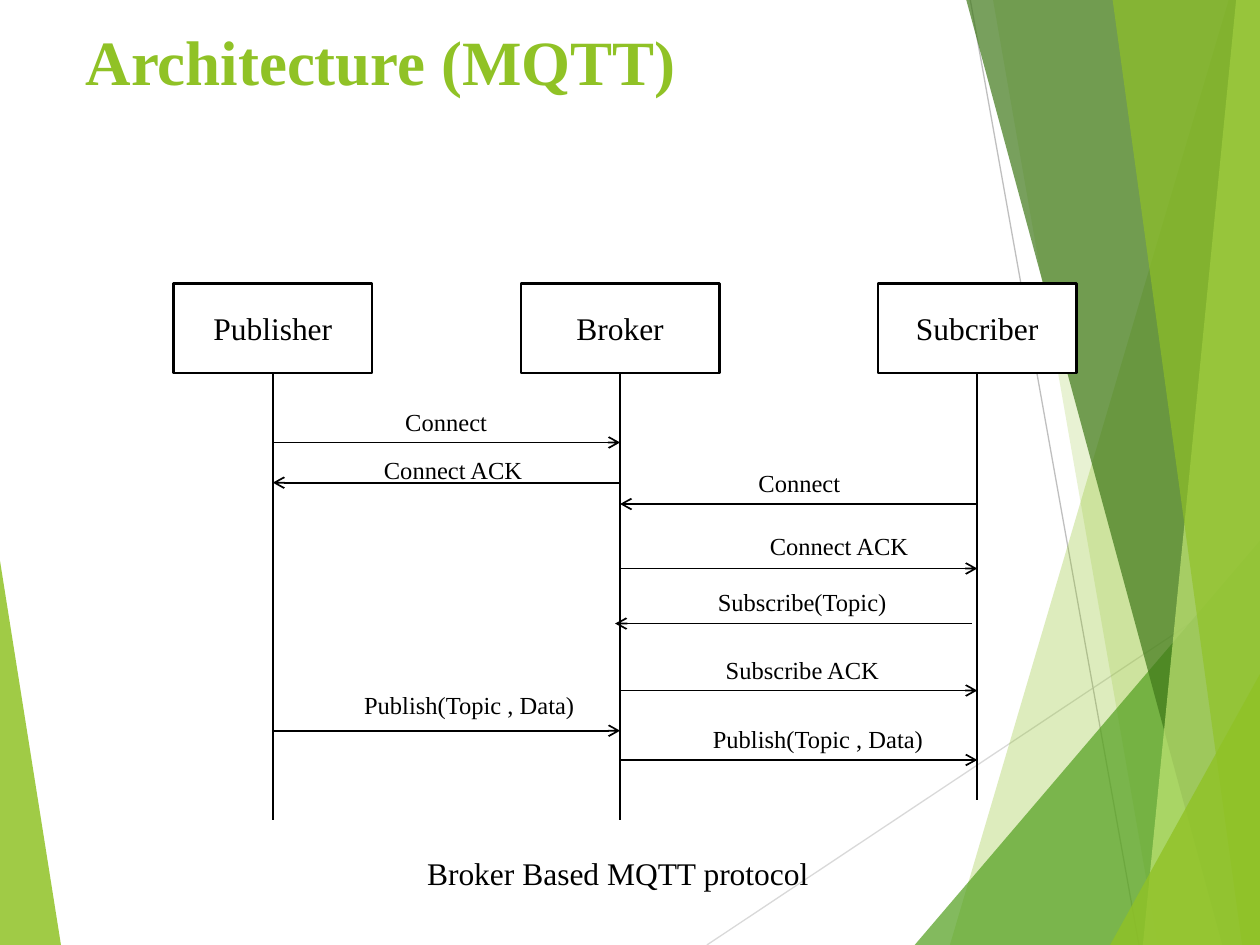
"""Builds the MQTT architecture slide: a sequence diagram on a green faceted backdrop."""
from dataclasses import dataclass

from lxml.etree import SubElement
from pptx import Presentation
from pptx.dml.color import RGBColor
from pptx.enum.shapes import MSO_CONNECTOR as Connector, MSO_SHAPE as Preset
from pptx.enum.text import MSO_ANCHOR as Anchor, MSO_AUTO_SIZE as AutoSize, PP_ALIGN as Align
from pptx.oxml.ns import qn
from pptx.util import Cm, Pt

WIDTH, HEIGHT = 25.4, 19.05
BOX_TOP, BOX_WIDTH, BOX_HEIGHT = 5.72, 4, 1.8


@dataclass(frozen=True)
class Theme:
    """Colours, font and type sizes of the slide."""
    font: str = "Times New Roman"
    lime: str = "90C226"
    green: str = "54A021"
    forest: str = "3F7819"
    pale: str = "C0E474"
    silver: str = "BFBFBF"
    mist: str = "D9D9D9"
    ink: str = "000000"
    paper: str = "FFFFFF"
    title: int = 36
    body: int = 18
    label: int = 14


class SequenceSlide:
    """Holds the theme and the current slide and draws its elements."""

    def __init__(self, slide, theme):
        self.slide, self.theme = slide, theme

    def format_text(self, frame, text, size, color, bold=False, align=Align.LEFT, **frame_format):
        """Put one formatted line of text in a frame."""
        for name, value in frame_format.items():
            setattr(frame, name, value)
        paragraph = frame.paragraphs[0]
        paragraph.text, paragraph.alignment = text, align
        values = {"name": self.theme.font, "size": Pt(size), "bold": bold}
        for name, value in values.items():
            setattr(paragraph.font, name, value)
        paragraph.font.color.rgb = RGBColor.from_string(color)

    def title(self, text, left, top, width, height):
        """Place the title placeholder in front of the backdrop."""
        title = self.slide.shapes.title
        title.element.getparent().append(title.element)
        box = {"left": left, "top": top, "width": width, "height": height}
        for name, value in box.items():
            setattr(title, name, Cm(value))
        self.format_text(title.text_frame, text, self.theme.title, self.theme.lime, bold=True,
                         vertical_anchor=Anchor.TOP, auto_size=AutoSize.NONE)

    def label(self, text, left, top, width, height, size):
        """Add an unwrapped text box."""
        shape = self.slide.shapes.add_textbox(Cm(left), Cm(top), Cm(width), Cm(height))
        self.format_text(shape.text_frame, text, size, self.theme.ink,
                         word_wrap=False, auto_size=AutoSize.SHAPE_TO_FIT_TEXT)

    def paint(self, shape, color):
        """Give a shape a solid fill and no shadow."""
        shape.shadow.inherit = False
        shape.fill.solid()
        shape.fill.fore_color.rgb = RGBColor.from_string(color)

    def shard(self, top_x, top_y, bottom_x, color, opacity, edge=WIDTH):
        """Add a translucent facet that reaches from a slanted side to a slide edge."""
        points = [(bottom_x, HEIGHT), (edge, HEIGHT), (edge, top_y)]
        builder = self.slide.shapes.build_freeform(Cm(top_x), Cm(top_y))
        builder.add_line_segments([(Cm(x), Cm(y)) for x, y in points])
        shape = builder.convert_to_shape()
        self.paint(shape, color)
        shape.line.fill.background()
        for element in shape.element.spPr.iter(qn("a:srgbClr")):
            SubElement(element, qn("a:alpha"), val=str(opacity * 1000))

    def line(self, start, end, color, weight=1.0, arrow=False):
        """Add a straight line, with an open arrowhead at its end on request."""
        line = self.slide.shapes.add_connector(
            Connector.STRAIGHT, *(Cm(value) for value in (*start, *end)))
        line.line.color.rgb = RGBColor.from_string(color)
        line.line.width = Pt(weight)
        properties = line.element.spPr
        if arrow:
            SubElement(properties.find(qn("a:ln")), qn("a:tailEnd"), type="arrow")
        SubElement(properties, qn("a:effectLst"))
        return line

    def participant(self, name, center, bottom):
        """Add a named box with its lifeline."""
        box = self.slide.shapes.add_shape(
            Preset.RECTANGLE, Cm(center - BOX_WIDTH / 2), Cm(BOX_TOP), Cm(BOX_WIDTH), Cm(BOX_HEIGHT))
        self.paint(box, self.theme.paper)
        box.line.color.rgb = RGBColor.from_string(self.theme.ink)
        box.line.width = Pt(1.5)
        self.format_text(box.text_frame, name, self.theme.body, self.theme.ink,
                         align=Align.CENTER, vertical_anchor=Anchor.MIDDLE)
        lifeline = self.line((center, BOX_TOP + BOX_HEIGHT), (center, bottom), self.theme.ink)
        lifeline.begin_connect(box, 2)

    def message(self, text, start, end, y, left, top, width):
        """Add a message arrow with its label."""
        self.line((start, y), (end, y), self.theme.ink, arrow=True)
        self.label(text, left, top, width, 0.86, self.theme.label)


def main():
    """Build and save the presentation."""
    presentation = Presentation()
    presentation.slide_width, presentation.slide_height = Cm(WIDTH), Cm(HEIGHT)
    theme = Theme()
    page = SequenceSlide(presentation.slides.add_slide(presentation.slide_layouts[5]), theme)

    page.shard(0, 11.3, 1.23, theme.lime, 85, edge=0)
    page.line((14.25, HEIGHT), (WIDTH, 11.63), theme.mist, 0.75)
    page.line((19.56, 0), (22.96, HEIGHT), theme.silver, 0.75)
    for shard in (
        (24.77, 0, 19.15, theme.lime, 30),
        (20.02, 0, 23.34, theme.lime, 20),
        (WIDTH, 10.9, 18.44, theme.green, 72),
        (19.48, 0, 24.64, theme.forest, 70),
        (24.92, 0, 23.04, theme.pale, 70),
        (22.43, 0, 25.04, theme.lime, 65),
        (WIDTH, 13.59, 22.38, theme.lime, 80),
    ):
        page.shard(*shard)

    page.title("Architecture (MQTT)", 1.47, 0.33, 22.86, 3.48)

    publisher, broker, subscriber = 5.5, 12.5, 19.7
    page.participant("Publisher", publisher, 16.54)
    page.participant("Broker", broker, 16.54)
    page.participant("Subcriber", subscriber, 16.13)

    for message in (
        ("Connect", publisher, broker, 8.92, 7.92, 8.08, 2.18),
        ("Connect ACK", broker, publisher, 9.73, 7.49, 9.04, 3.33),
        ("Connect", subscriber, broker, 10.16, 15.04, 9.32, 2.18),
        ("Connect ACK", broker, subscriber, 11.46, 15.27, 10.59, 3.33),
        ("Subscribe(Topic)", subscriber - 0.1, broker - 0.1, 12.57, 14.22, 11.71, 3.94),
        ("Subscribe ACK", broker, subscriber, 13.92, 14.38, 13.08, 3.63),
        ("Publish(Topic , Data)", publisher, broker, 14.73, 7.09, 13.79, 4.78),
        ("Publish(Topic , Data)", broker, subscriber, 15.32, 14.12, 14.48, 4.78),
    ):
        page.message(*message)

    page.label("Broker Based MQTT protocol", 8.36, 17.09, 8.28, 1.02, theme.body)
    presentation.save("out.pptx")


if __name__ == "__main__":
    main()
